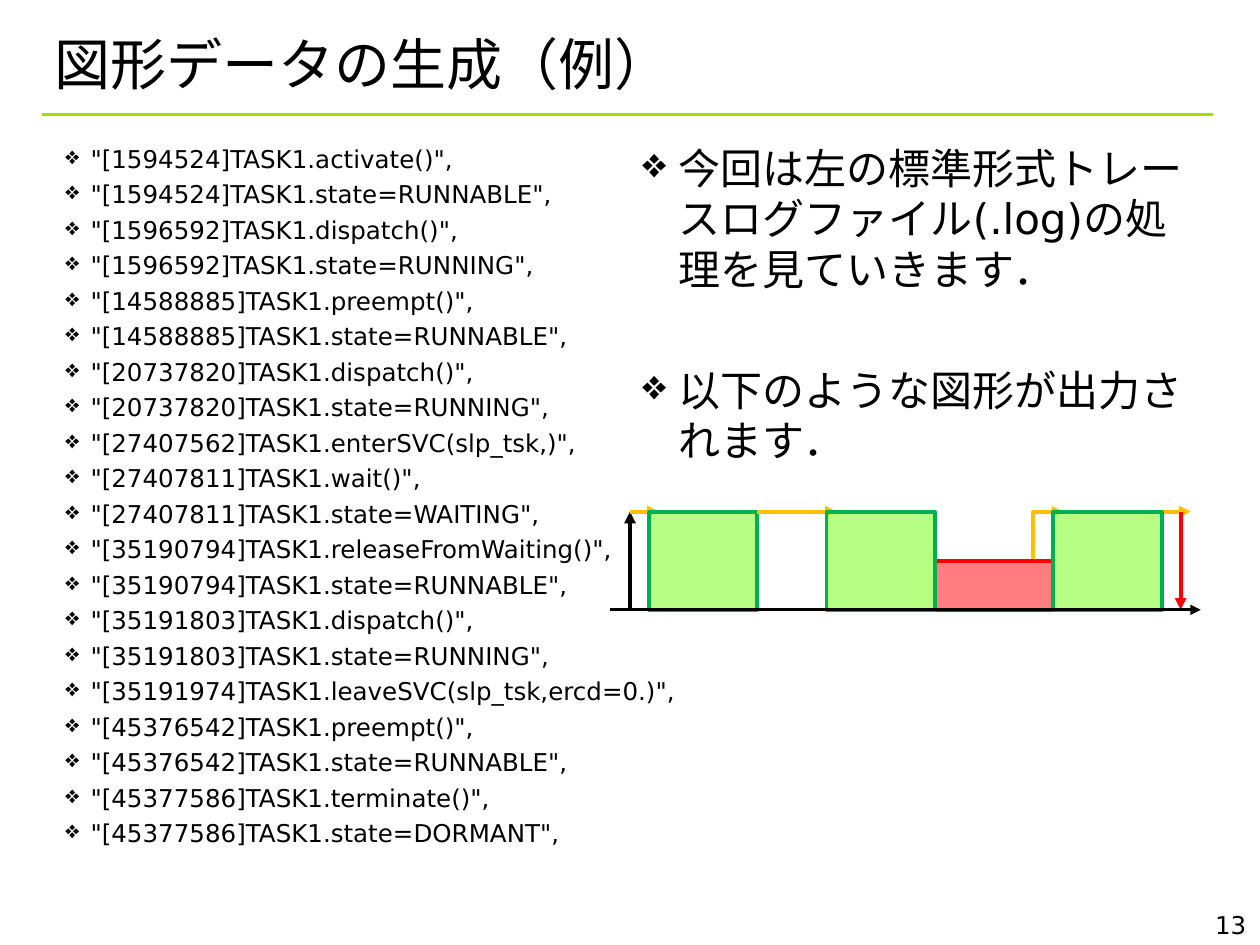
from lxml.etree import SubElement
from pptx import Presentation
from pptx.dml.color import RGBColor
from pptx.enum.shapes import MSO_CONNECTOR, MSO_SHAPE
from pptx.enum.text import MSO_ANCHOR, MSO_AUTO_SIZE, PP_ALIGN
from pptx.oxml.ns import qn
from pptx.util import Inches, Pt

COLORS = {
    "text": "000000",
    "rule": "A4DE00",
    "runnable": "FFC000",
    "running_fill": "6EFF01",
    "running_line": "00B050",
    "waiting_fill": "FF7C80",
    "exit": "FF0000",
}
FONT = "DejaVu Sans"

TRACE_LOG = [
    "[1594524]TASK1.activate()",
    "[1594524]TASK1.state=RUNNABLE",
    "[1596592]TASK1.dispatch()",
    "[1596592]TASK1.state=RUNNING",
    "[14588885]TASK1.preempt()",
    "[14588885]TASK1.state=RUNNABLE",
    "[20737820]TASK1.dispatch()",
    "[20737820]TASK1.state=RUNNING",
    "[27407562]TASK1.enterSVC(slp_tsk,)",
    "[27407811]TASK1.wait()",
    "[27407811]TASK1.state=WAITING",
    "[35190794]TASK1.releaseFromWaiting()",
    "[35190794]TASK1.state=RUNNABLE",
    "[35191803]TASK1.dispatch()",
    "[35191803]TASK1.state=RUNNING",
    "[35191974]TASK1.leaveSVC(slp_tsk,ercd=0.)",
    "[45376542]TASK1.preempt()",
    "[45376542]TASK1.state=RUNNABLE",
    "[45377586]TASK1.terminate()",
    "[45377586]TASK1.state=DORMANT",
]
EXPLANATION = [
    "今回は左の標準形式トレースログファイル(.log)の処理を見ていきます．",
    "以下のような図形が出力されます．",
]


def rgb(name):
    return RGBColor.from_string(COLORS[name])


def add_bullet(paragraph, indent):
    """Give the paragraph a diamond bullet with a hanging indent in inches."""
    properties = paragraph._p.get_or_add_pPr()
    properties.set("marL", str(Inches(indent)))
    properties.set("indent", str(-Inches(indent)))
    bullet_color = SubElement(properties, qn("a:buClr"))
    SubElement(bullet_color, qn("a:srgbClr"), val=COLORS["text"])
    SubElement(properties, qn("a:buChar"), char="❖")


def write_text(frame, lines, size, align=PP_ALIGN.LEFT, anchor=MSO_ANCHOR.TOP,
               indent=None, gap=0):
    """Fill the frame with one paragraph per line, gap points apart."""
    frame.word_wrap = True
    frame.auto_size = MSO_AUTO_SIZE.NONE
    frame.vertical_anchor = anchor
    for index, line in enumerate(lines):
        paragraph = frame.add_paragraph() if index else frame.paragraphs[0]
        paragraph.alignment = align
        paragraph.space_before = Pt(gap if index else 0)
        if indent:
            add_bullet(paragraph, indent)
        run = paragraph.add_run()
        run.text = line
        run.font.size = Pt(size)
        run.font.name = FONT
        run.font.color.rgb = rgb("text")
        SubElement(run._r.get_or_add_rPr(), qn("a:ea"), typeface=FONT)


class SlideBuilder:
    def __init__(self, slide):
        self.slide = slide

    def title(self, text, left, top, width, height):
        title = self.slide.shapes.title
        title.left, title.top = Inches(left), Inches(top)
        title.width, title.height = Inches(width), Inches(height)
        write_text(title.text_frame, [text], 32, anchor=MSO_ANCHOR.MIDDLE)

    def text(self, lines, left, top, width, height, **style):
        box = self.slide.shapes.add_textbox(
            Inches(left), Inches(top), Inches(width), Inches(height))
        write_text(box.text_frame, lines, **style)

    def block(self, left, top, width, height, fill, line, opacity=None):
        block = self.slide.shapes.add_shape(
            MSO_SHAPE.RECTANGLE,
            Inches(left), Inches(top), Inches(width), Inches(height))
        block.shadow.inherit = False
        block.fill.solid()
        block.fill.fore_color.rgb = rgb(fill)
        block.line.color.rgb = rgb(line)
        block.line.width = Pt(2.25)
        if opacity:
            color = block._element.spPr.find(qn("a:solidFill"))[0]
            SubElement(color, qn("a:alpha"), val=str(opacity * 1000))

    def line(self, x1, y1, x2, y2, color, width=2.25, arrow=True,
             kind=MSO_CONNECTOR.STRAIGHT):
        line = self.slide.shapes.add_connector(
            kind, Inches(x1), Inches(y1), Inches(x2), Inches(y2))
        line.line.color.rgb = rgb(color)
        line.line.width = Pt(width)
        if arrow:
            SubElement(line.line._get_or_add_ln(), qn("a:tailEnd"), type="triangle")
        SubElement(line._element.spPr, qn("a:effectLst"))
        return line

    def rising_elbow(self, x1, y1, x2, y2, color):
        """Arrow that goes up from (x1, y1), then right to (x2, y2)."""
        center_x, center_y = (x1 + x2) / 2, (y1 + y2) / 2
        half_rise, half_run = (y1 - y2) / 2, (x2 - x1) / 2
        # The elbow is drawn lying down, then turned by a quarter.
        elbow = self.line(center_x + half_rise, center_y + half_run,
                          center_x - half_rise, center_y - half_run,
                          color, kind=MSO_CONNECTOR.ELBOW)
        properties = elbow._element.spPr
        properties.find(qn("a:xfrm")).set("rot", "5400000")
        adjustments = properties.find(qn("a:prstGeom")).find(qn("a:avLst"))
        SubElement(adjustments, qn("a:gd"), name="adj1", fmla="val 99300")


def draw_timeline(builder):
    top, middle, base = 4.06, 4.45, 4.84
    run_width = 0.86
    first, second, third = 5.15, 6.56, 8.36
    wait_start = second + run_width
    last_end = third + run_width

    def running(left):
        builder.block(left, top, run_width, base - top,
                      "running_fill", "running_line", opacity=49)

    def runnable(start, end):
        builder.line(start, top, end, top, "runnable")

    builder.line(5, base, 5, top, "text")
    runnable(5, first + 0.08)
    running(first)
    runnable(first + run_width, second + 0.08)
    builder.rising_elbow(8.2, middle, third + 0.08, top, "runnable")
    runnable(last_end, 9.45)
    builder.line(9.37, top, 9.37, base, "exit")
    builder.block(wait_start, middle, third - wait_start, base - middle,
                  "waiting_fill", "exit")
    running(second)
    running(third)
    builder.line(4.84, base, 9.53, base, "text", width=1.5)


def main():
    presentation = Presentation()
    presentation.slide_width = Inches(10)
    presentation.slide_height = Inches(7.5)
    title_only = presentation.slide_layouts[5]
    builder = SlideBuilder(presentation.slides.add_slide(title_only))

    builder.line(0.33, 0.91, 9.63, 0.91, "rule", width=1.5, arrow=False)
    builder.title("図形データの生成（例）", 0.33, 0.25, 9.25, 0.5)
    builder.text(EXPLANATION, 5, 1.08, 4.58, 6.1, size=24, indent=0.29, gap=40.5)
    builder.text(["13"], 9.08, 7.17, 0.91, 0.33, size=14, align=PP_ALIGN.RIGHT)
    draw_timeline(builder)
    builder.text([f'"{entry}",' for entry in TRACE_LOG], 0.42, 1.09, 5.12, 5.78,
                 size=14, indent=0.2, gap=3.5)
    presentation.save("out.pptx")


if __name__ == "__main__":
    main()
